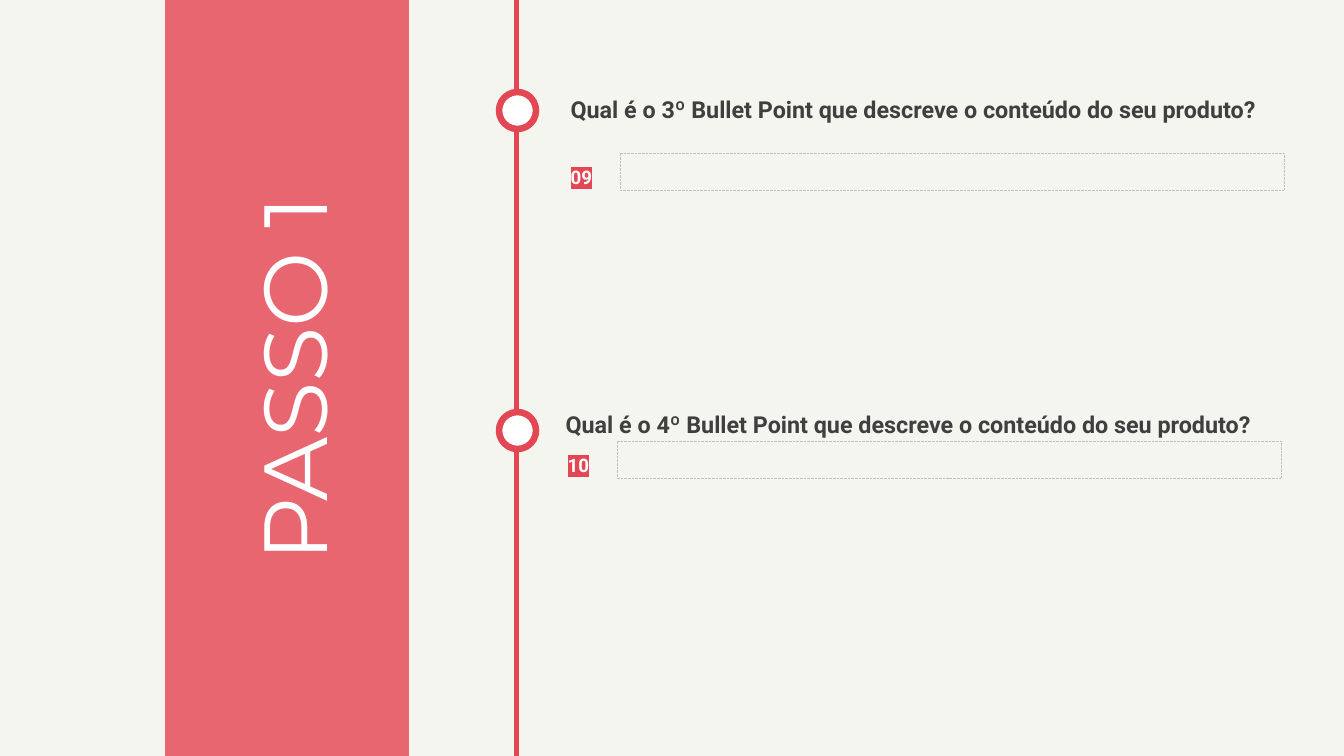
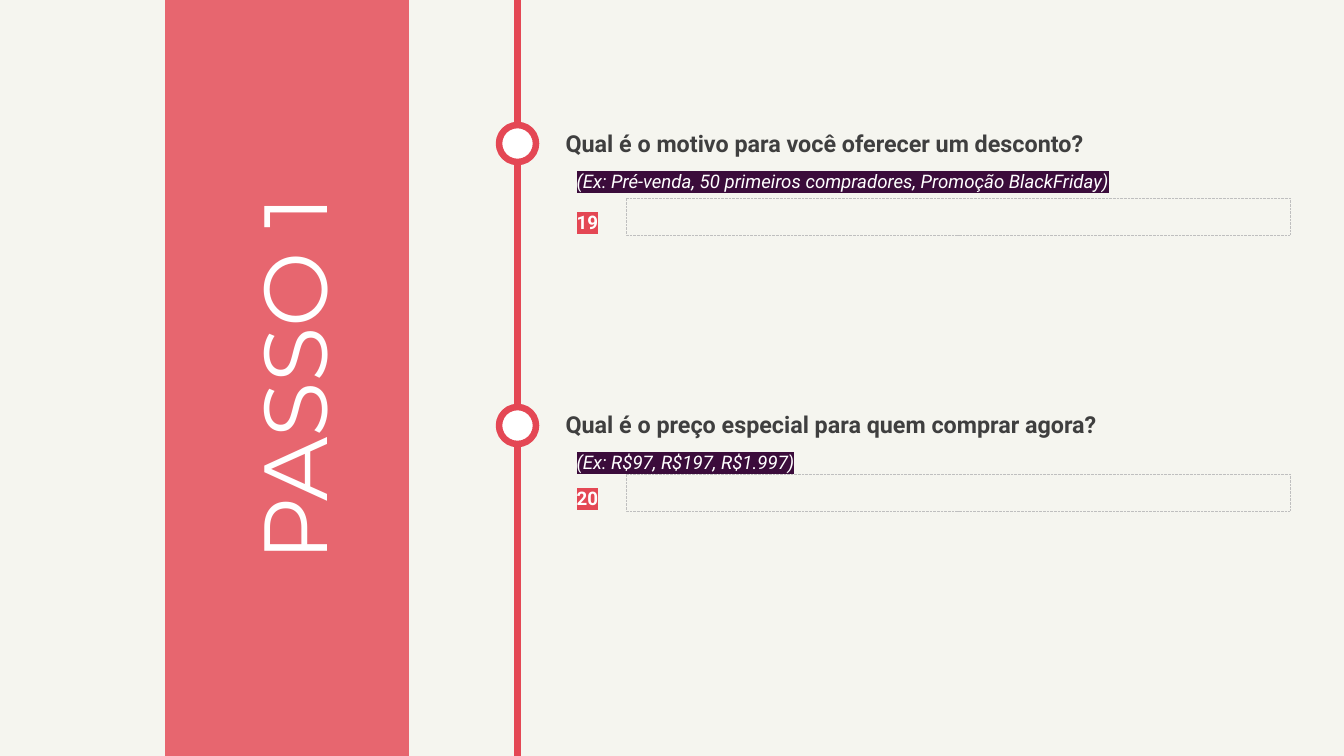
from dataclasses import dataclass

from lxml import etree
from pptx import Presentation
from pptx.dml.color import RGBColor
from pptx.enum.dml import MSO_LINE
from pptx.enum.shapes import MSO_SHAPE
from pptx.enum.text import MSO_ANCHOR, MSO_AUTO_SIZE, PP_ALIGN
from pptx.oxml.ns import qn
from pptx.util import Pt

RECT, OVAL = MSO_SHAPE.RECTANGLE, MSO_SHAPE.OVAL
DOTTED = MSO_LINE.ROUND_DOT
TOP, CENTER = MSO_ANCHOR.TOP, PP_ALIGN.CENTER
NO_AUTOSIZE = MSO_AUTO_SIZE.NONE

# Positions are (left, top) in px.
SLIDES = [
    {
        "title": "PASSO 1",
        "timeline_width": 5,
        "items": [
            {"question": "Qual é o 3º Bullet Point que descreve o conteúdo do seu produto?",
             "number": "09", "node_top": 92, "question_at": (564, 92), "number_at": (564, 151)},
            {"question": "Qual é o 4º Bullet Point que descreve o conteúdo do seu produto?",
             "number": "10", "node_top": 412, "question_at": (559, 407), "number_at": (561, 439)},
        ],
    },
    {
        "title": "PASSO 1",
        "timeline_width": 7,
        "items": [
            {"question": "Qual é o motivo para você oferecer um desconto?",
             "hint": "(Ex: Pré-venda, 50 primeiros compradores, Promoção BlackFriday)",
             "number": "19", "node_top": 125, "question_at": (559, 126), "number_at": (570, 196)},
            {"question": "Qual é o preço especial para quem comprar agora?",
             "hint": "(Ex: R$97, R$197, R$1.997)",
             "number": "20", "node_top": 407, "question_at": (559, 407), "number_at": (570, 472)},
        ],
    },
]


@dataclass(frozen=True)
class Theme:
    background: str = "F5F5EF"
    accent: str = "E44754"
    hint: str = "3B0C3B"
    ink: str = "3F3F3F"
    white: str = "FFFFFF"
    field_line: str = "BFBFBF"
    title_font: str = "Montserrat"
    body_font: str = "Roboto"
    title_size: int = 96
    question_size: int = 25
    label_size: int = 20


THEME = Theme()
EMU_PER_PX = 914400 / 67.2
WIDTH, HEIGHT = 1344, 756
BAND = (165, 0, 244, HEIGHT)
BAND_OPACITY = 82
TITLE = (52, 321, 482, 116)
TIMELINE_LEFT = 514
NODE_LEFT, NODE_SIZE = 499, 37
TEXT_WIDTH, QUESTION_HEIGHT = 726, 35
HINT_OFFSET = (11, 29)
LABEL_WIDTH, LABEL_HEIGHT = 56, 37
FIELD_WIDTH, FIELD_DROP = 664, 2


def px(*lengths):
    return [round(n * EMU_PER_PX) for n in lengths]


def rgb(color):
    return RGBColor.from_string(color)


def add_box(slide, kind, at, fill=None, line=None, line_width=0.75):
    sp = slide.shapes.add_shape(kind, *px(*at))
    sp.shadow.inherit = False
    if fill:
        sp.fill.solid()
        sp.fill.fore_color.rgb = rgb(fill)
    else:
        sp.fill.background()
    if line:
        sp.line.color.rgb = rgb(line)
        sp.line.width = Pt(line_width)
    else:
        sp.line.fill.background()
    return sp


def style(p, font, size, color, bold=False, italic=False):
    p.font.name, p.font.size = font, Pt(size)
    p.font.bold, p.font.italic = bold, italic
    p.font.color.rgb = rgb(color)


def add_text(slide, text, at, size, color, highlight=None, **emphasis):
    tf = slide.shapes.add_textbox(*px(*at)).text_frame
    tf.word_wrap = True
    p = tf.paragraphs[0]
    r = p.add_run()
    r.text = text
    if highlight:
        p.line_spacing = 1.5
        mark = etree.SubElement(r.font._element, qn("a:highlight"))
        etree.SubElement(mark, qn("a:srgbClr"), val=highlight)
    style(p, THEME.body_font, size, color, **emphasis)


def add_title(slide, text):
    """Vertical title over the translucent side band."""
    title = slide.shapes.title
    title.left, title.top, title.width, title.height = px(*TITLE)
    title.rotation = 270
    tf = title.text_frame
    tf.text = text
    tf.vertical_anchor, tf.auto_size = TOP, NO_AUTOSIZE
    p = tf.paragraphs[0]
    p.alignment = CENTER
    style(p, THEME.title_font, THEME.title_size, THEME.white)

    band = add_box(slide, RECT, BAND, THEME.accent)
    color = band.element.spPr.find(qn("a:solidFill"))[0]
    etree.SubElement(color, qn("a:alpha"), val=str(BAND_OPACITY * 1000))
    title.element.addprevious(band.element)


def add_item(slide, item):
    """Timeline node, question, optional hint, number and answer field."""
    add_box(slide, OVAL, (NODE_LEFT, item["node_top"], NODE_SIZE, NODE_SIZE),
            THEME.white, THEME.accent, 7)
    x, y = item["question_at"]
    add_text(slide, item["question"], (x, y, TEXT_WIDTH, QUESTION_HEIGHT),
             THEME.question_size, THEME.ink, bold=True)
    if "hint" in item:
        dx, dy = HINT_OFFSET
        add_text(slide, item["hint"], (x + dx, y + dy, TEXT_WIDTH, LABEL_HEIGHT),
                 THEME.label_size, THEME.white, THEME.hint, italic=True)
    x, y = item["number_at"]
    add_text(slide, item["number"], (x, y, LABEL_WIDTH, LABEL_HEIGHT),
             THEME.label_size, THEME.white, THEME.accent, bold=True)
    field = add_box(slide, RECT, (x + LABEL_WIDTH, y + FIELD_DROP, FIELD_WIDTH, LABEL_HEIGHT),
                    line=THEME.field_line)
    field.line.dash_style = DOTTED


def main():
    prs = Presentation()
    prs.slide_width, prs.slide_height = px(WIDTH, HEIGHT)
    background = prs.slide_master.background.fill
    background.solid()
    background.fore_color.rgb = rgb(THEME.background)
    title_only = prs.slide_layouts.get_by_name("Title Only")
    for content in SLIDES:
        slide = prs.slides.add_slide(title_only)
        add_title(slide, content["title"])
        add_box(slide, RECT, (TIMELINE_LEFT, 0, content["timeline_width"], HEIGHT), THEME.accent)
        for item in content["items"]:
            add_item(slide, item)
    prs.save("out.pptx")


if __name__ == "__main__":
    main()
